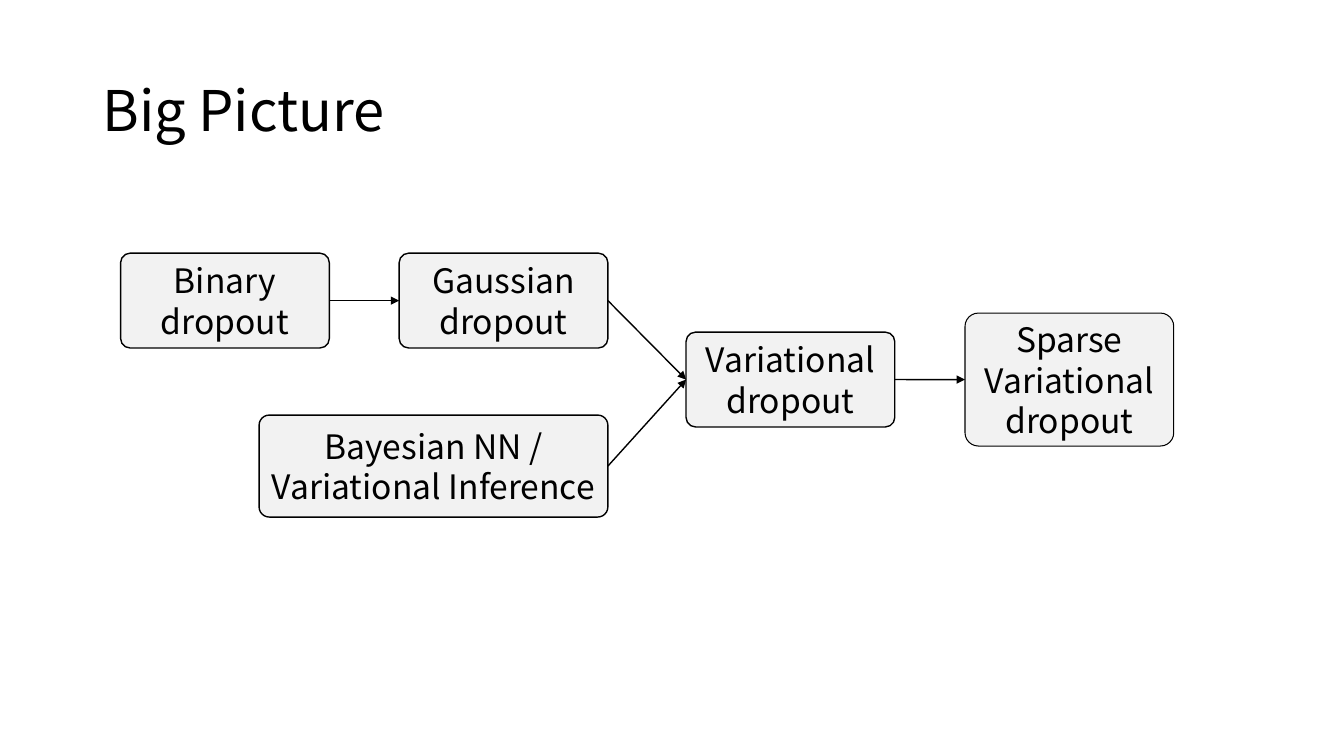
"""Build the "Big Picture" slide: how dropout methods lead to sparse variational dropout."""
import pptx
import pptx.dml.color
import pptx.enum.shapes
import pptx.enum.text
import pptx.oxml
import pptx.oxml.ns
import pptx.util

Cm = pptx.util.Cm
Pt = pptx.util.Pt
BLACK = pptx.dml.color.RGBColor(0x00, 0x00, 0x00)
LIGHT_GREY = pptx.dml.color.RGBColor(0xF2, 0xF2, 0xF2)
FONT = "Noto Sans CJK KR"
LEFT, RIGHT = 1, 3


def add_text(paragraph, text, size):
    run = paragraph.add_run()
    run.text = text
    run.font.name = FONT
    run.font.size = Pt(size)
    run.font.color.rgb = BLACK


deck = pptx.Presentation()
deck.slide_width = Cm(33.87)
deck.slide_height = Cm(19.05)
slide = deck.slides.add_slide(deck.slide_layouts[6])

heading = slide.shapes.add_textbox(Cm(2.33), Cm(1.01), Cm(29.21), Cm(3.68)).text_frame
heading.word_wrap = True
heading.vertical_anchor = pptx.enum.text.MSO_ANCHOR.MIDDLE
heading.paragraphs[0].line_spacing = 0.9
add_text(heading.paragraphs[0], "Big Picture", 40)

METHODS = {
    "binary": (3.04, 6.38, 5.26, 2.39, 1, ["Binary", "dropout"]),
    "gaussian": (10.06, 6.38, 5.26, 2.39, 1, ["Gaussian", "dropout"]),
    "variational": (17.29, 8.37, 5.26, 2.39, 1, ["Variational", "dropout"]),
    "bayesian": (6.53, 10.46, 8.79, 2.57, 1, ["Bayesian NN /", "Variational Inference"]),
    "sparse": (24.32, 7.89, 5.26, 3.35, 0.75, ["Sparse", "Variational", "dropout"]),
}
methods = {}
for name, (left, top, width, height, outline, lines) in METHODS.items():
    method = slide.shapes.add_shape(
        pptx.enum.shapes.MSO_SHAPE.ROUNDED_RECTANGLE, Cm(left), Cm(top), Cm(width), Cm(height))
    method.adjustments[0] = 0.1
    method.shadow.inherit = False
    method.fill.solid()
    method.fill.fore_color.rgb = LIGHT_GREY
    method.line.color.rgb = BLACK
    method.line.width = Pt(outline)
    label = method.text_frame
    label.word_wrap = True
    label.margin_left = label.margin_right = Cm(0.1)
    label.vertical_anchor = pptx.enum.text.MSO_ANCHOR.MIDDLE
    for index, line in enumerate(lines):
        paragraph = label.add_paragraph() if index else label.paragraphs[0]
        paragraph.alignment = pptx.enum.text.PP_ALIGN.CENTER
        add_text(paragraph, line, 24)
    methods[name] = method

STEPS = [
    ("binary", "gaussian"),
    ("gaussian", "variational"),
    ("bayesian", "variational"),
    ("variational", "sparse"),
]
for source, target in STEPS:
    arrow = slide.shapes.add_connector(pptx.enum.shapes.MSO_CONNECTOR.STRAIGHT, 0, 0, 0, 0)
    arrow.begin_connect(methods[source], RIGHT)
    arrow.end_connect(methods[target], LEFT)
    arrow.line.color.rgb = BLACK
    arrow.line.width = Pt(1)
    arrow.get_or_add_ln().append(
        pptx.oxml.parse_xml(f'<a:tailEnd {pptx.oxml.ns.nsdecls("a")} type="triangle"/>'))
    arrow._element.spPr.append(
        pptx.oxml.parse_xml(f'<a:effectLst {pptx.oxml.ns.nsdecls("a")}/>'))

deck.save("out.pptx")
